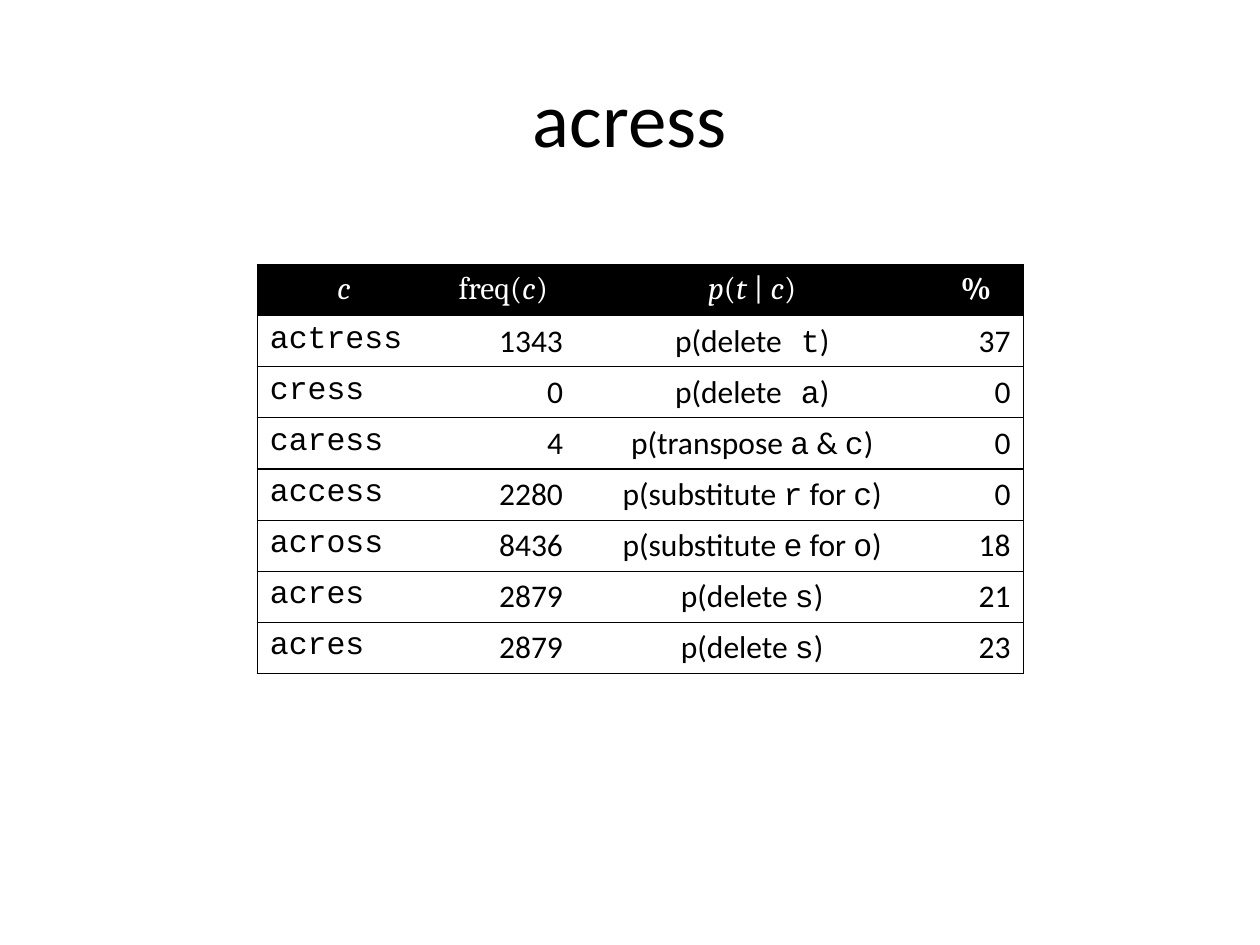
import pptx
import pptx.util
import pptx.dml.color
import pptx.enum.text
from lxml import etree
from pptx.oxml.ns import qn

Pt = pptx.util.Pt
Align = pptx.enum.text.PP_ALIGN
Anchor = pptx.enum.text.MSO_ANCHOR

COLORS = {"ink": "000000", "paper": "FFFFFF"}
HEADER = ["`c`", "freq(`c`)", "`p`(`t `| `c`)", "%"]
CANDIDATES = [
    ("`actress`", "1343", "p(delete` t`)", "37"),
    ("`cress`", "0", "p(delete` a`)", "0"),
    ("`caress`", "4", "p(transpose `a` & `c`)", "0"),
    ("`access`", "2280", "p(substitute `r` for `c`)", "0"),
    ("`across`", "8436", "p(substitute `e` for `o`)", "18"),
    ("`acres`", "2879", "p(delete `s`)", "21"),
    ("`acres`", "2879", "p(delete `s`)", "23"),
]
BODY_ALIGNS = [Align.LEFT, Align.RIGHT, Align.CENTER, Align.RIGHT]
COLUMN_WIDTHS = [99.2, 82.7, 201.9, 53.9]
ROW_HEIGHT = 29.2


def rgb(name):
    return pptx.dml.color.RGBColor.from_string(COLORS[name])


def write_text(frame, text, size=18, color="ink", align=Align.LEFT, font="Calibri",
               accent_font=None, accent_italic=False, bold=False):
    para = frame.paragraphs[0]
    para.alignment = align
    for index, part in enumerate(text.split("`")):
        if not part:
            continue
        accent = index % 2 == 1
        span = para.add_run()
        span.text = part
        span.font.size = Pt(size)
        span.font.name = accent_font if accent and accent_font else font
        span.font.italic = accent and accent_italic
        span.font.bold = bold
        span.font.color.rgb = rgb(color)


def set_borders(cell, visible):
    properties = cell._tc.get_or_add_tcPr()
    for index, side in enumerate("LRTB"):
        line = etree.Element(qn(f"a:ln{side}"), w=str(Pt(0.75)))
        if side in visible:
            fill = etree.SubElement(line, qn("a:solidFill"))
            etree.SubElement(fill, qn("a:srgbClr"), val=COLORS["ink"])
        else:
            etree.SubElement(line, qn("a:noFill"))
        properties.insert(index, line)


def add_title(page, left, top, width, height):
    box = page.shapes.add_textbox(Pt(left), Pt(top), Pt(width), Pt(height))
    box.text_frame.word_wrap = True
    box.text_frame.vertical_anchor = Anchor.MIDDLE
    write_text(box.text_frame, "acress", size=44, align=Align.CENTER)


def add_candidate_table(page, left, top):
    rows = [HEADER, *CANDIDATES]
    table = page.shapes.add_table(
        len(rows), len(HEADER), Pt(left), Pt(top),
        Pt(sum(COLUMN_WIDTHS)), Pt(ROW_HEIGHT * len(rows))).table
    table.first_row = False
    table.horz_banding = False
    for column, width in zip(table.columns, COLUMN_WIDTHS):
        column.width = Pt(width)
    for row_index, values in enumerate(rows):
        table.rows[row_index].height = Pt(ROW_HEIGHT)
        is_header = row_index == 0
        for column_index, text in enumerate(values):
            cell = table.cell(row_index, column_index)
            cell.fill.solid()
            cell.fill.fore_color.rgb = rgb("ink" if is_header else "paper")
            sides = "TB"
            if column_index == 0:
                sides += "L"
            if column_index == len(HEADER) - 1:
                sides += "R"
            set_borders(cell, sides)
            if is_header:
                write_text(cell.text_frame, text, color="paper", align=Align.CENTER,
                           font="Cambria", accent_italic=True, bold=text == "%")
            else:
                write_text(cell.text_frame, text, align=BODY_ALIGNS[column_index],
                           accent_font="Courier New")


def main():
    deck = pptx.Presentation()
    deck.slide_width, deck.slide_height = Pt(720), Pt(540)
    page = deck.slides.add_slide(deck.slide_layouts[6])
    add_title(page, 36, 21.6, 648, 90)
    add_candidate_table(page, 147, 151.2)
    deck.save("out.pptx")


if __name__ == "__main__":
    main()
